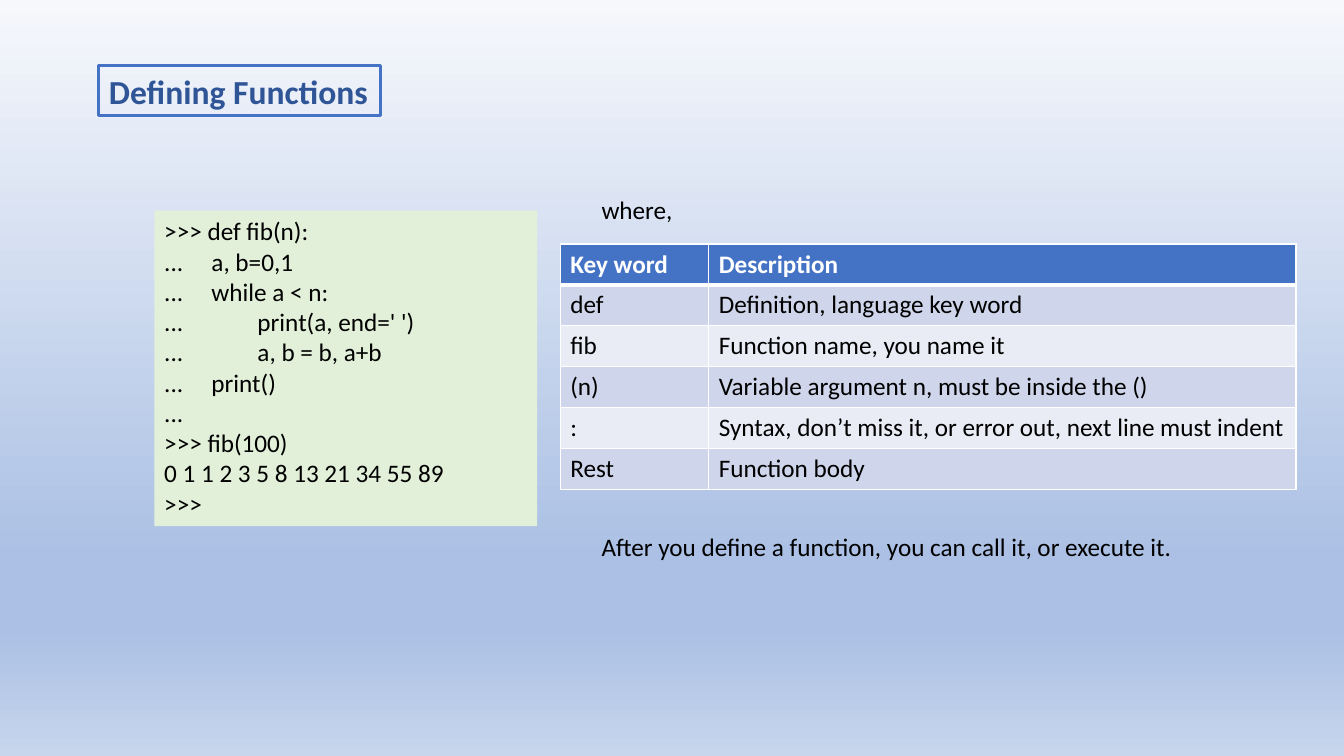
import copy

import pptx
import pptx.dml.color
import pptx.enum.shapes
import pptx.enum.text
import pptx.oxml
import pptx.oxml.ns
import pptx.util
from pptx.util import Cm

FONT = "Calibri"
BLUE = "4472C4"
BACKGROUND = [(0, "F6F8FC"), (0.74, "ABC0E4"), (0.83, "ABC0E4"), (1, "C7D5ED")]
CODE = [
    ">>> def fib(n):",
    "...\ta, b=0,1",
    "...\twhile a < n:",
    "...\t\tprint(a, end=' ')",
    "...\t\ta, b = b, a+b",
    "...\tprint()",
    "...",
    ">>> fib(100)",
    "0 1 1 2 3 5 8 13 21 34 55 89",
    ">>>",
]
KEY_WORDS = [
    ("Key word", "Description"),
    ("def", "Definition, language key word"),
    ("fib", "Function name, you name it"),
    ("(n)", "Variable argument n, must be inside the ()"),
    (":", "Syntax, don’t miss it, or error out, next line must indent"),
    ("Rest", "Function body"),
]


def rgb(color):
    return pptx.dml.color.RGBColor.from_string(color)


def write(p, text, size=18, color="000000", bold=False):
    p.alignment = pptx.enum.text.PP_ALIGN.LEFT
    r = p.add_run()
    r.text = text
    r.font.name = FONT
    r.font.size = pptx.util.Pt(size)
    r.font.bold = bold
    r.font.color.rgb = rgb(color)


def fill_background(s):
    fill = s.background.fill
    fill.gradient()
    fill.gradient_angle = 270
    stops = s.element.find(".//" + pptx.oxml.ns.qn("a:gsLst"))
    while len(stops) < len(BACKGROUND):
        stops.append(copy.deepcopy(stops[0]))
    for stop, (position, color) in zip(fill.gradient_stops, BACKGROUND):
        stop.position = position
        stop.color.rgb = rgb(color)


def add_title(s, left, top, width, height):
    sp = s.shapes.title
    sp.left, sp.top, sp.width, sp.height = left, top, width, height
    sp.line.color.rgb = rgb(BLUE)
    sp.line.width = pptx.util.Pt(2.25)
    tf = sp.text_frame
    tf.word_wrap = False
    tf.auto_size = pptx.enum.text.MSO_AUTO_SIZE.NONE
    tf.vertical_anchor = pptx.enum.text.MSO_ANCHOR.TOP
    tf.paragraphs[0].line_spacing = 1
    write(tf.paragraphs[0], "Defining Functions", size=24, color="2F5597", bold=True)


def add_tab_stops(p, positions):
    ns = pptx.oxml.ns.nsdecls("a")
    tabs = "".join(f'<a:tab pos="{int(pos)}" algn="l"/>' for pos in positions)
    p._p.get_or_add_pPr().append(
        pptx.oxml.parse_xml(f"<a:tabLst {ns}>{tabs}</a:tabLst>"))


def add_code(s, left, top, width, height):
    sp = s.shapes.add_shape(
        pptx.enum.shapes.MSO_SHAPE.RECTANGLE, left, top, width, height)
    sp.shadow.inherit = False
    sp.fill.solid()
    sp.fill.fore_color.rgb = rgb("E2F0D9")
    sp.line.fill.background()
    tf = sp.text_frame
    tf.word_wrap = True
    tf.vertical_anchor = pptx.enum.text.MSO_ANCHOR.TOP
    for i, line in enumerate(CODE):
        p = tf.add_paragraph() if i else tf.paragraphs[0]
        write(p, line)
        if "\t" in line:
            add_tab_stops(p, [Cm(1.19), Cm(2.35)])


def add_note(s, text, left, top, width, height):
    tf = s.shapes.add_textbox(left, top, width, height).text_frame
    tf.word_wrap = False
    write(tf.paragraphs[0], text)


def add_border(cell, side, points):
    ns = pptx.oxml.ns.nsdecls("a")
    cell._tc.get_or_add_tcPr().append(pptx.oxml.parse_xml(
        f'<a:ln{side} {ns} w="{pptx.util.Pt(points)}"><a:solidFill>'
        f'<a:srgbClr val="FFFFFF"/></a:solidFill></a:ln{side}>'))


def add_key_words(s, left, top, width, height):
    table = s.shapes.add_table(len(KEY_WORDS), 2, left, top, width, height).table
    table.columns[0].width = Cm(3.74)
    table.columns[1].width = width - Cm(3.74)
    for i, row in enumerate(KEY_WORDS):
        header = i == 0
        for j, text in enumerate(row):
            cell = table.cell(i, j)
            for side in "LRTB":
                thick = (i, side) in [(0, "B"), (1, "T")]
                add_border(cell, side, 3 if thick else 1)
            cell.fill.solid()
            cell.fill.fore_color.rgb = rgb(
                BLUE if header else ("E9EBF5", "CFD5EA")[i % 2])
            write(cell.text_frame.paragraphs[0], text,
                  color="FFFFFF" if header else "000000", bold=header)


def add_explanation(s, left, top, width, height):
    indent = Cm(0.79)
    add_note(s, "where,", left + indent, top, Cm(2.34), Cm(1.02))
    add_key_words(s, left, top + Cm(1.37), width, Cm(6.18))
    add_note(s, "After you define a function, you can call it, or execute it.",
             left + indent, top + height - Cm(1.02), Cm(15.09), Cm(1.02))


def main():
    prs = pptx.Presentation()
    prs.slide_width, prs.slide_height = Cm(33.87), Cm(19.05)
    s = prs.slides.add_slide(prs.slide_layouts[5])
    fill_background(s)
    add_title(s, Cm(2.49), Cm(1.65), Cm(7.11), Cm(1.27))
    add_code(s, Cm(3.89), Cm(5.31), Cm(9.65), Cm(7.95))
    add_explanation(s, Cm(14.12), Cm(4.78), Cm(18.54), Cm(9.5))
    prs.save("out.pptx")


if __name__ == "__main__":
    main()
